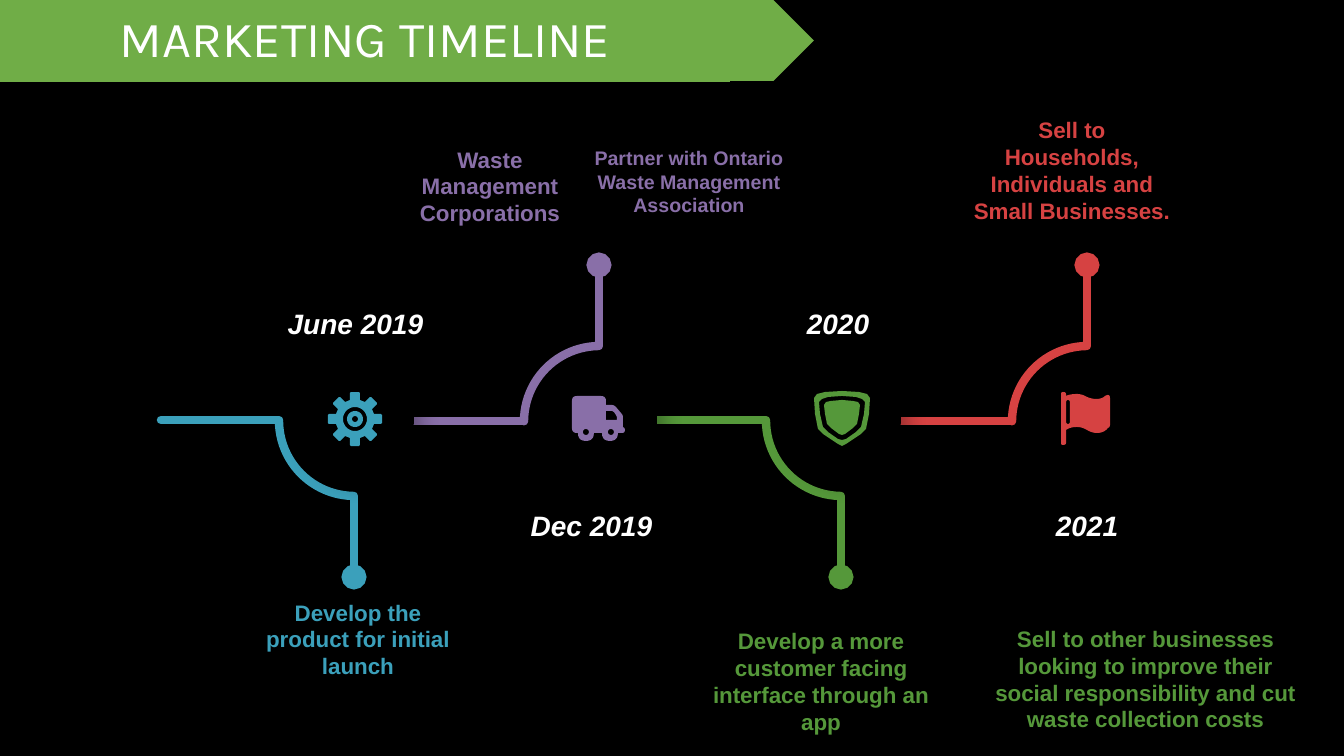
"""Build the marketing timeline slide."""
import math

import pptx
import pptx.dml.color
import pptx.enum.dml
import pptx.enum.shapes
import pptx.enum.text
import pptx.oxml
import pptx.oxml.ns
import pptx.util

COLORS = {"black": "000000", "white": "FFFFFF", "banner": "70AD47", "blue": "3BA0BB",
          "purple": "896FA8", "green": "55983A", "red": "D64242"}
SHAPES = pptx.enum.shapes.MSO_SHAPE
ANCHORS = {"top": pptx.enum.text.MSO_ANCHOR.TOP, "middle": pptx.enum.text.MSO_ANCHOR.MIDDLE}
FITS = {True: pptx.enum.text.MSO_AUTO_SIZE.SHAPE_TO_FIT_TEXT,
        False: pptx.enum.text.MSO_AUTO_SIZE.NONE}

TITLE = "MARKETING TIMELINE"
STAGES = [("blue", 161, 279, "down"), ("purple", 407, 524, "up"),
          ("green", 649, 766, "down"), ("red", 894, 1012, "up")]
DATES = [("June 2019", (277, 301, 157, 44)), ("Dec 2019", (520, 503, 143, 44)),
         ("2020", (796, 301, 84, 44)), ("2021", (1045, 503, 84, 44))]
NOTES = [
    ("Develop the product for initial launch", "blue", (256, 589, 204, 100), 16, "middle"),
    ("Waste Management Corporations", "purple", (388, 136, 204, 100), 16, "middle"),
    ("Develop a more customer facing interface through an app", "green",
     (688, 631, 266, 100), 16, "middle"),
    ("Sell to Households, Individuals and Small Businesses.", "red",
     (960, 120, 224, 100), 16, "middle"),
    ("Partner with Ontario Waste Management Association", "purple",
     (583, 141, 212, 82), 14, "top"),
    ("Sell to other businesses looking to improve their social responsibility "
     "and cut waste collection costs", "green", (974, 620, 343, 119), 16, "top"),
]

ARC, AXIS, STEM, DISC, RIM = 151, 420, 81, 118, 11
SHIELD_MIDDLE = 842
SHIELD_HALVES = [
    [(842, 391), (825, 392), (817, 394), (814, 398), (815, 414), (818, 429), (823, 434),
     (838, 444), (842, 446)],
    [(842, 396), (828, 397), (822, 399), (819, 402), (820, 414), (823, 427), (828, 432),
     (838, 439), (842, 440)],
    [(842, 400), (831, 401), (826, 402), (824, 405), (825, 414), (827, 424), (831, 428),
     (839, 434), (842, 435)],
]
FLAG = [(1066, 430), (1070, 427, 1077, 427), (1082, 427, 1087, 430), (1092, 433, 1097, 433),
        (1104, 433, 1108, 428), (1110, 427, 1110, 425), (1110, 398), (1110, 395, 1108, 395),
        (1107, 395, 1105, 396), (1102, 399, 1096, 399), (1092, 399, 1087, 397),
        (1082, 394, 1077, 394), (1070, 394, 1066, 396), (1066, 394), (1066, 392, 1063, 392),
        (1061, 392, 1061, 394), (1061, 443), (1061, 445, 1063, 445), (1066, 445, 1066, 443)]
FLAG_SLOT = [(1070, 403), (1070, 421), (1070, 424, 1068, 424), (1066, 424, 1066, 421),
             (1066, 403), (1066, 400, 1068, 400), (1070, 400, 1070, 403)]
TRUCK = [(577, 433), (572, 433, 572, 428), (572, 401), (572, 396, 577, 396), (601, 396),
         (606, 396, 606, 401), (606, 405), (612, 405), (614, 405, 616, 407), (621, 413),
         (623, 415, 623, 417), (623, 427), (625, 428, 625, 430), (625, 433, 622, 433),
         (618, 433), (618, 441, 610, 441), (602, 441, 602, 433), (594, 433),
         (594, 441, 586, 441), (578, 441, 578, 433)]
TRUCK_WINDOW = [(617, 420), (617, 417), (616, 415), (614, 412), (612, 411), (606, 411),
                (606, 420)]


def px(v):
    return pptx.util.Emu(round(v * 914400 / 100.8))


def rgb(name):
    return pptx.dml.color.RGBColor.from_string(COLORS[name])


def add_xml(parent, xml):
    head, rest = xml.split(" ", 1)
    parent.append(pptx.oxml.parse_xml(f"{head} {pptx.oxml.ns.nsdecls('a')} {rest}"))


def fill(sp, color):
    sp.shadow.inherit = False
    sp.fill.solid()
    sp.fill.fore_color.rgb = rgb(color)
    sp.line.fill.background()


def stroke(sp, color):
    sp.line.color.rgb = rgb(color)
    sp.line.width = pptx.util.Pt(6)
    sp.line._get_or_add_ln().set("cap", "rnd")


def write(sp, text, color, size, anchor="middle", wrap=True, grow=False, font="Arial", **style):
    tf = sp.text_frame
    for key, value in {"word_wrap": wrap, "auto_size": FITS[grow],
                       "vertical_anchor": ANCHORS[anchor]}.items():
        setattr(tf, key, value)
    p = tf.paragraphs[0]
    p.alignment = pptx.enum.text.PP_ALIGN.CENTER
    r = p.add_run()
    r.text = text
    r.font.color.rgb = rgb(color)
    for key, value in {"name": font, "size": pptx.util.Pt(size), **style}.items():
        setattr(r.font, key, value)
    return p


def add_line(shapes, color, x1, y1, x2, y2):
    s = shapes.add_connector(pptx.enum.shapes.MSO_CONNECTOR.STRAIGHT,
                             px(x1), px(y1), px(x2), px(y2))
    stroke(s, color)
    add_xml(s._element.spPr, "<a:effectLst />")
    return s


def add_track(slide, color, start, bend, way):
    shapes = slide.shapes.add_group_shape().shapes
    down = way == "down"
    axis = AXIS if down else AXIS + 1
    top = axis - 75
    arc = shapes.add_shape(SHAPES.ARC, px(bend), px(top), px(ARC), px(ARC))
    arc.shadow.inherit = False
    arc.adjustments[0], arc.adjustments[1] = 108.13, 161.31
    arc.fill.background()
    stroke(arc, color)
    if down:
        arc._element.spPr.xfrm.set("flipV", "1")
    add_line(shapes, color, bend, axis, start, axis)
    x, y = bend + 75, top + ARC if down else top
    stem = add_line(shapes, color, x, y, x, y + STEM if down else y - STEM)
    add_xml(stem.line._get_or_add_ln(), '<a:tailEnd type="oval"/>')


def add_disc(slide, x, y):
    shapes = slide.shapes.add_group_shape().shapes
    for inset in (0, RIM):
        side = px(DISC - 2 * inset)
        sp = shapes.add_shape(SHAPES.OVAL, px(x + inset), px(y + inset), side, side)
        fill(sp, "black")
        if not inset:
            effects = sp._element.spPr.find(pptx.oxml.ns.qn("a:effectLst"))
            add_xml(effects, '<a:outerShdw blurRad="190500" dist="88900" dir="2700000">'
                             '<a:srgbClr val="000000"><a:alpha val="30000"/></a:srgbClr>'
                             '</a:outerShdw>')


def circle(cx, cy, radius, steps=32):
    angles = [2 * math.pi * i / steps for i in range(steps)]
    return [(cx + radius * math.cos(a), cy + radius * math.sin(a)) for a in angles]


def gear(cx, cy):
    points = []
    for tooth in range(8):
        c, s = math.cos(tooth * math.pi / 4), math.sin(tooth * math.pi / 4)
        points += [(cx + u * c - v * s, cy + u * s + v * c)
                   for u, v in ((19, -5), (26, -5), (27, -4), (27, 4), (26, 5), (19, 5))]
    return points


def flatten(outline):
    points = []
    for *bend, x, y in outline:
        if bend:
            x0, y0 = points[-1]
            for t in (0.2, 0.4, 0.6, 0.8):
                a, b, c = (1 - t) ** 2, 2 * t * (1 - t), t * t
                points.append((a * x0 + b * bend[0] + c * x, a * y0 + b * bend[1] + c * y))
        points.append((x, y))
    return points


def add_icon(slide, color, outlines):
    contours = [[(px(x), px(y)) for x, y in flatten(o)] for o in outlines]
    builder = slide.shapes.build_freeform(*contours[0][0], scale=1.0)
    for i, points in enumerate(contours):
        if i:
            builder.move_to(*points[0])
        builder.add_line_segments(points[1:], close=True)
    fill(builder.convert_to_shape(), color)


def main():
    prs = pptx.Presentation()
    prs.slide_width, prs.slide_height = px(1344), px(756)
    slide = prs.slides.add_slide(prs.slide_layouts[6])
    slide.background.fill.solid()
    slide.background.fill.fore_color.rgb = rgb("black")
    for stage in STAGES:
        add_track(slide, *stage)
    for i in range(len(STAGES)):
        add_disc(slide, 296 + 731 * i // 3, 360)
    for text, box in DATES:
        sp = slide.shapes.add_textbox(*map(px, box))
        write(sp, text, "white", 20, wrap=False, grow=True, bold=True, italic=True)
    for text, color, box, size, anchor in NOTES:
        sp = slide.shapes.add_textbox(*map(px, box))
        write(sp, text, color, size, anchor, grow=anchor == "top", bold=True)
    shield = [half + [(2 * SHIELD_MIDDLE - x, y) for x, y in half[-2:0:-1]]
              for half in SHIELD_HALVES]
    add_icon(slide, "green", shield)
    add_icon(slide, "blue", [gear(355, 419)] + [circle(355, 419, n) for n in (12, 8, 3)])
    add_icon(slide, "red", [FLAG, FLAG_SLOT])
    add_icon(slide, "purple", [TRUCK, TRUCK_WINDOW] + [circle(x, 432, 3) for x in (586, 611)])
    banner = slide.shapes.add_shape(SHAPES.RECTANGLE, px(0), px(0), px(730), px(82))
    fill(banner, "banner")
    write(banner, TITLE, "white", 36, font="Karla").line_spacing = 0.9
    tip = slide.shapes.add_shape(SHAPES.PENTAGON, px(686), px(0), px(128), px(81))
    fill(tip, "banner")
    prs.save("out.pptx")


if __name__ == "__main__":
    main()
